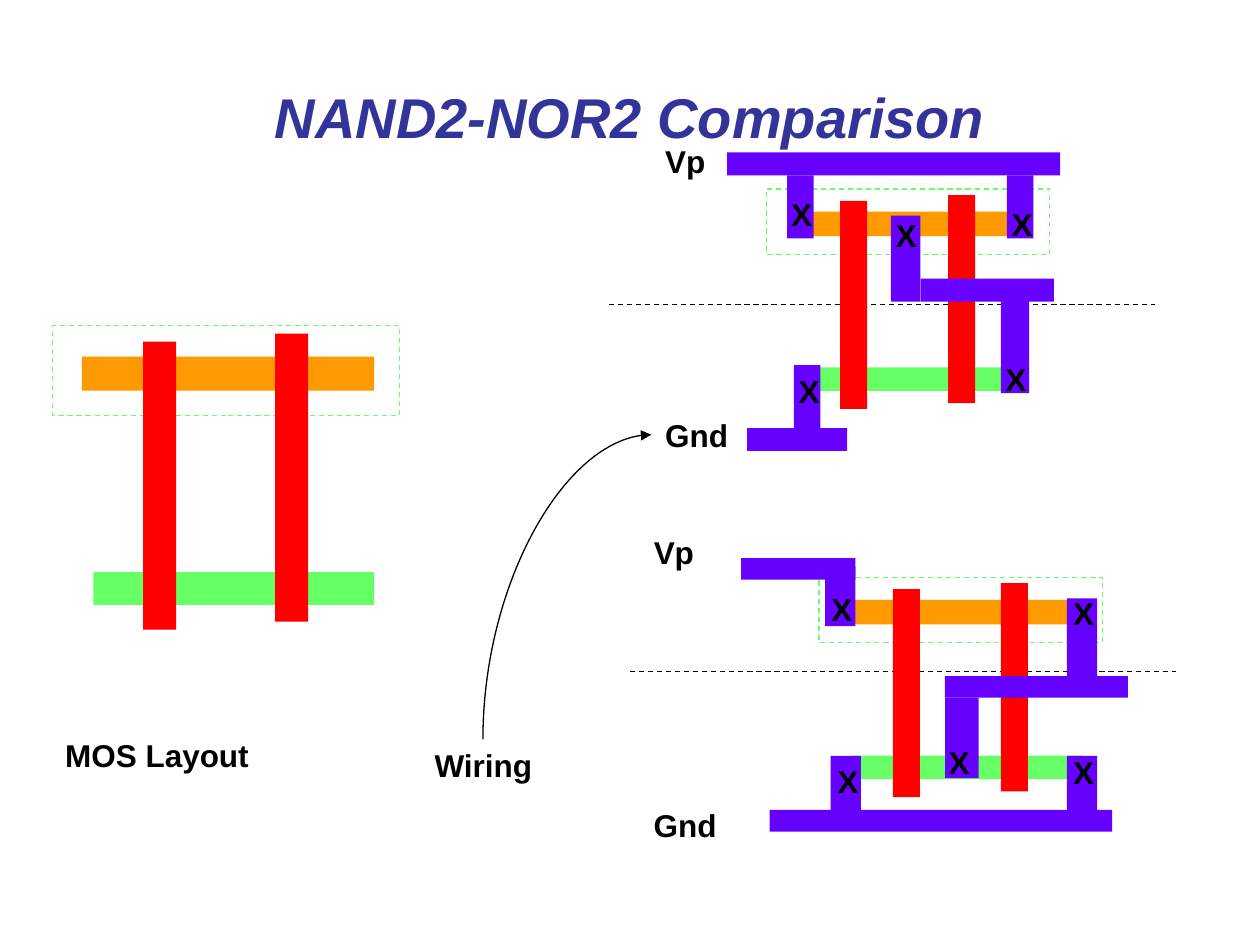
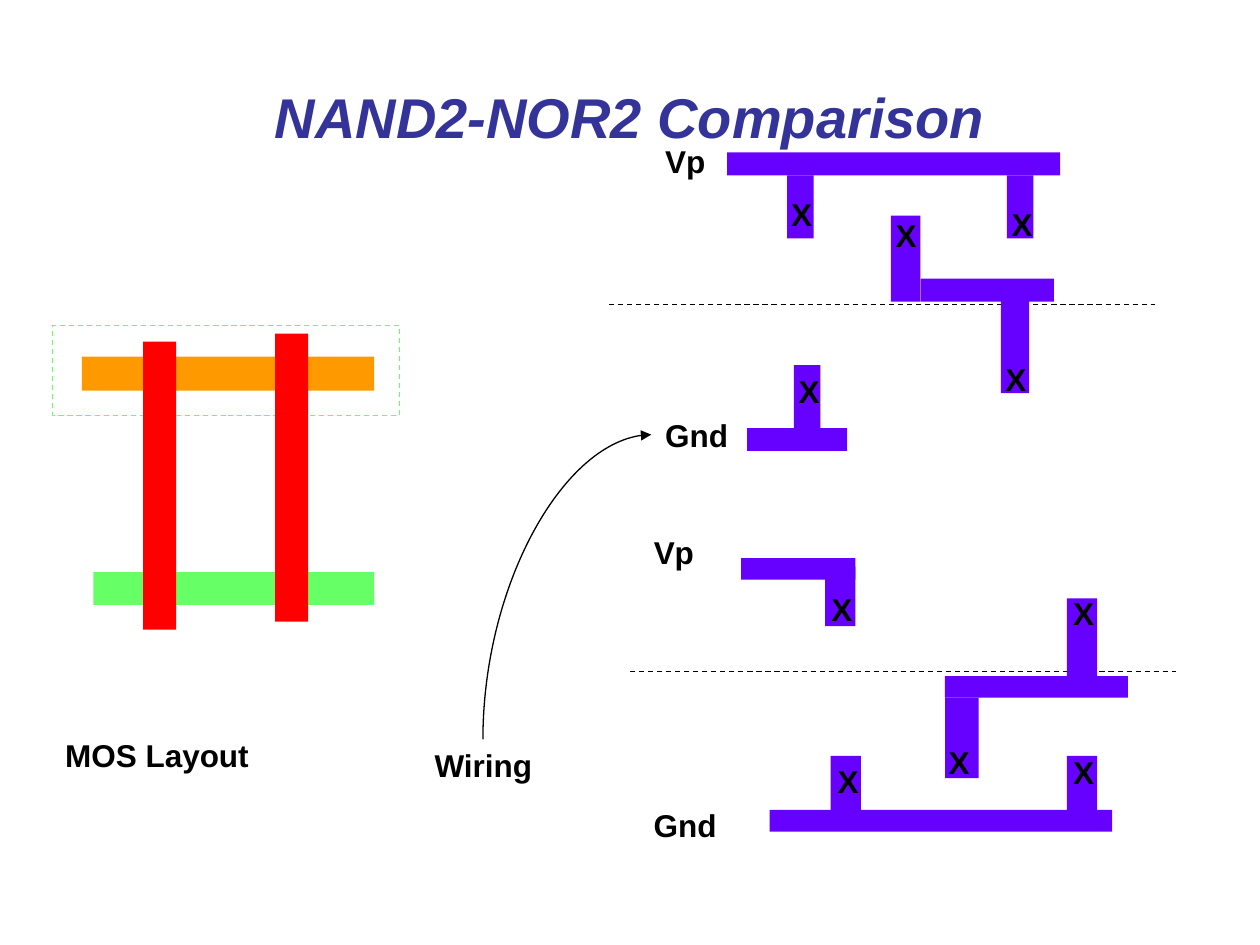
"""Build two slides comparing the layout and wiring of NAND2 and NOR2 gates."""
from typing import Any, NamedTuple

from pptx import Presentation
from pptx.dml.color import RGBColor
from pptx.enum.dml import MSO_LINE
from pptx.enum.shapes import MSO_CONNECTOR, MSO_SHAPE
from pptx.enum.text import MSO_ANCHOR, MSO_AUTO_SIZE, PP_ALIGN
from pptx.oxml.ns import qn
from pptx.util import Pt

RECTANGLE = MSO_SHAPE.RECTANGLE
STRAIGHT, CURVE = MSO_CONNECTOR.STRAIGHT, MSO_CONNECTOR.CURVE
DASH = MSO_LINE.DASH
MIDDLE, CENTER = MSO_ANCHOR.MIDDLE, PP_ALIGN.CENTER
NO_FIT, GROW = MSO_AUTO_SIZE.NONE, MSO_AUTO_SIZE.SHAPE_TO_FIT_TEXT

FONT = "Arial"
TITLE_COLOR, TEXT_COLOR = "333399", "000000"
N_DIFFUSION, P_DIFFUSION, GATE, METAL = "66FF66", "FF9900", "FF0000", "6600FF"
LABEL_HEIGHT, CONTACT_WIDTH, LINE_WIDTH = 28.8, 26, 0.75


class Area(NamedTuple):
    left: float
    top: float
    width: float
    height: float


class Label(NamedTuple):
    text: str
    left: float
    top: float
    width: float


class Wiring(NamedTuple):
    metal: list[Area]
    contacts: list[tuple[float, float]]
    labels: list[Label]


WELL = Area(30.2, 185.8, 198, 51.8)
NAND_WELL = Area(437.9, 108, 162, 37.4)
NOR_WELL = Area(468, 329.8, 162, 37.4)
TRANSISTOR_PARTS = [
    (N_DIFFUSION, Area(23.2, 141.2, 160.4, 18.7)),
    (P_DIFFUSION, Area(16.6, 18, 167, 19.4)),
    (GATE, Area(51.6, 9.4, 18.9, 164.7)),
    (GATE, Area(127, 4.8, 18.9, 164.7)),
]
NAND = Wiring(
    metal=[
        Area(415.6, 87.1, 190.2, 13.2), Area(449.8, 100.2, 15.2, 36),
        Area(427, 244.6, 57.1, 13.1), Area(509.1, 123.2, 16.8, 49.2),
        Area(575.4, 100.2, 15.2, 36), Area(453.7, 208.6, 15.2, 36),
        Area(526.1, 159.3, 76.1, 13.1), Area(571.9, 165, 16.2, 59.6),
    ],
    contacts=[(445, 108), (504.7, 120.2), (571, 113.8), (449.3, 208.8), (567.4, 202.3)],
    labels=[Label("Vp", 373, 77.8, 37.4), Label("Gnd", 373, 234, 50.4)],
)
NOR = Wiring(
    metal=[
        Area(439.8, 462.8, 195.8, 12.4), Area(474.7, 432, 17.3, 33.8),
        Area(423.5, 319, 65.3, 12.3), Area(540, 398.7, 19.3, 46),
        Area(609.7, 432, 17.3, 33.8), Area(471.5, 324, 17.3, 33.8),
        Area(540, 386.4, 104.6, 12.3), Area(609.7, 342, 17.3, 46.1),
    ],
    contacts=[(471.6, 432), (535, 421.2), (606.2, 427), (468, 333.4), (606.2, 336.2)],
    labels=[Label("Vp", 366.5, 301, 37.4), Label("Gnd", 366.5, 457.2, 50.4)],
)
CAPTIONS = [Label("MOS Layout", 30.2, 416.9, 119.5), Label("Wiring", 241.2, 422.6, 70.6)]
DIVIDERS = [(348, 174.2), (360, 383.8)]
DIVIDER_LENGTH = 312
ARROW_START, ARROW_END = (276, 422.6), (372.2, 248.4)


def color(value: str) -> RGBColor:
    return RGBColor.from_string(value)


def add_rectangle(shapes: Any, area: Area) -> Any:
    box = shapes.add_shape(RECTANGLE, *map(Pt, area))
    box.shadow.inherit = False
    return box


def add_block(shapes: Any, area: Area, fill: str) -> None:
    box = add_rectangle(shapes, area)
    box.fill.solid()
    box.fill.fore_color.rgb = color(fill)
    box.line.fill.background()


def style_font(font: Any, size: float, hue: str) -> None:
    font.name, font.size, font.bold = FONT, Pt(size), True
    font.color.rgb = color(hue)


def style_line(line: Any, hue: str, dashed: bool) -> None:
    line.color.rgb = color(hue)
    line.width = Pt(LINE_WIDTH)
    if dashed:
        line.dash_style = DASH


def add_label(shapes: Any, label: Label) -> None:
    box = shapes.add_textbox(Pt(label.left), Pt(label.top), Pt(label.width), Pt(LABEL_HEIGHT))
    frame = box.text_frame
    frame.text = label.text
    frame.word_wrap = False
    frame.auto_size = GROW
    style_font(frame.paragraphs[0].runs[0].font, 18, TEXT_COLOR)


def add_line(page: Any, kind: Any, start: tuple, end: tuple, dashed: bool) -> Any:
    line = page.shapes.add_connector(kind, *map(Pt, (*start, *end)))
    style_line(line.line, TEXT_COLOR, dashed)
    properties = line._element.spPr
    properties.append(properties.makeelement(qn("a:effectLst"), {}))
    return line


def add_wiring_arrow(page: Any) -> None:
    (x1, y1), (x2, y2) = ARROW_START, ARROW_END
    middle_x, middle_y = (x1 + x2) / 2, (y1 + y2) / 2
    half_width, half_height = (y1 - y2) / 2, (x2 - x1) / 2
    arrow = add_line(page, CURVE, (middle_x + half_width, middle_y + half_height),
                     (middle_x - half_width, middle_y - half_height), False)
    properties = arrow._element.spPr
    properties.find(qn("a:xfrm")).set("rot", "5400000")
    properties.find(qn("a:prstGeom")).set("prst", "curvedConnector2")
    outline = properties.find(qn("a:ln"))
    outline.append(outline.makeelement(qn("a:tailEnd"), {"type": "triangle"}))


def add_transistors(page: Any, well: Area) -> None:
    shapes = page.shapes.add_group_shape().shapes
    scale_x, scale_y = well.width / WELL.width, well.height / WELL.height
    for index, (fill, part) in enumerate(TRANSISTOR_PARTS):
        add_block(shapes, Area(well.left + part.left * scale_x, well.top + part.top * scale_y,
                               part.width * scale_x, part.height * scale_y), fill)
        if index == 0:
            border = add_rectangle(shapes, well)
            border.fill.background()
            style_line(border.line, N_DIFFUSION, True)


def add_wiring(page: Any, wiring: Wiring) -> None:
    shapes = page.shapes.add_group_shape().shapes
    for area in wiring.metal:
        add_block(shapes, area, METAL)
    for left, top in wiring.contacts:
        add_label(shapes, Label("X", left, top, CONTACT_WIDTH))
    for label in wiring.labels:
        add_label(shapes, label)


def add_title(page: Any, text: str) -> None:
    title = page.shapes.title
    title.left, title.top, title.width, title.height = map(Pt, (36, 21.6, 648, 90))
    frame = title.text_frame
    frame.text = text
    frame.auto_size = NO_FIT
    frame.vertical_anchor = MIDDLE
    para = frame.paragraphs[0]
    para.alignment = CENTER
    span = para.runs[0]
    style_font(span.font, 32, TITLE_COLOR)
    span.font.italic = True


def add_comparison(deck: Any, with_transistors: bool) -> None:
    page = deck.slides.add_slide(deck.slide_layouts.get_by_name("Title Only"))
    add_title(page, "NAND2-NOR2 Comparison")
    add_transistors(page, WELL)
    for caption in CAPTIONS:
        add_label(page.shapes, caption)
    add_wiring_arrow(page)
    for left, top in DIVIDERS:
        add_line(page, STRAIGHT, (left, top), (left + DIVIDER_LENGTH, top), True)
    for well, wiring in ((NAND_WELL, NAND), (NOR_WELL, NOR)):
        if with_transistors:
            add_transistors(page, well)
        add_wiring(page, wiring)


def main() -> None:
    deck = Presentation()
    deck.slide_width, deck.slide_height = Pt(720), Pt(540)
    for with_transistors in (True, False):
        add_comparison(deck, with_transistors)
    deck.save("out.pptx")


if __name__ == "__main__":
    main()
